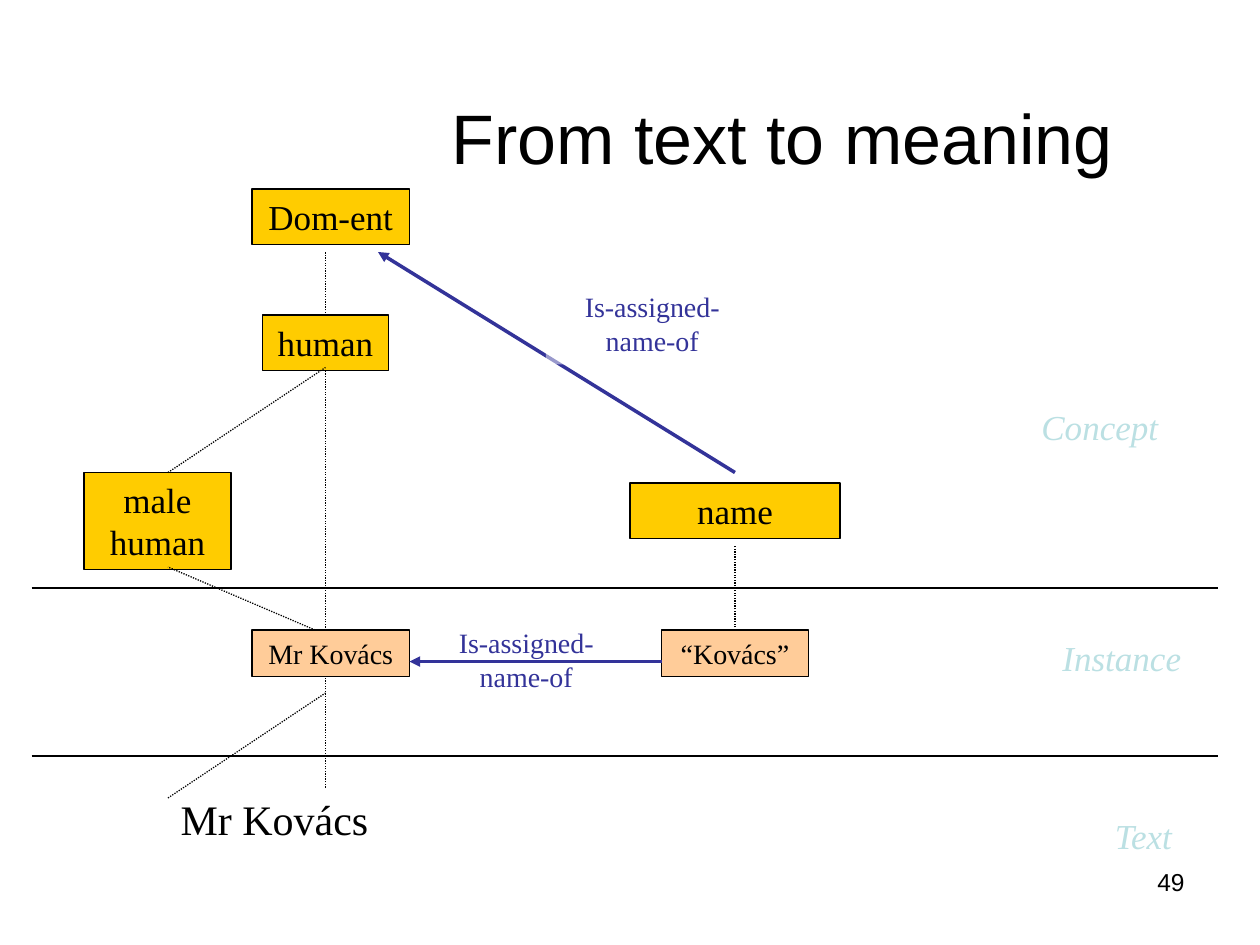
from dataclasses import dataclass
from typing import Optional

from lxml import etree
from pptx import Presentation
from pptx.dml.color import RGBColor
from pptx.enum.dml import MSO_LINE
from pptx.enum.shapes import MSO_CONNECTOR, MSO_SHAPE
from pptx.enum.text import MSO_ANCHOR, PP_ALIGN
from pptx.oxml.ns import qn
from pptx.util import Cm, Pt

LEFT, CENTER, RIGHT = PP_ALIGN.LEFT, PP_ALIGN.CENTER, PP_ALIGN.RIGHT
TOP, MIDDLE = MSO_ANCHOR.TOP, MSO_ANCHOR.MIDDLE
DOT, STRAIGHT, RECT = MSO_LINE.ROUND_DOT, MSO_CONNECTOR.STRAIGHT, MSO_SHAPE.RECTANGLE
BLACK = RGBColor(0x00, 0x00, 0x00)
WHITE = RGBColor(0xFF, 0xFF, 0xFF)
GOLD = RGBColor(0xFF, 0xCC, 0x00)
PEACH = RGBColor(0xFF, 0xCC, 0x99)
INDIGO = RGBColor(0x33, 0x33, 0x99)
AQUA = RGBColor(0xBB, 0xE0, 0xE3)
SERIF, SANS = "Times New Roman", "Arial"
GRID = 2.54 / 12


@dataclass
class Box:
    text: str
    left: float
    top: float
    width: float
    height: float
    size: int = 20
    color: RGBColor = BLACK
    align: PP_ALIGN = CENTER
    fill: Optional[RGBColor] = None
    edge: bool = False
    alpha: int = 100
    italic: bool = False
    face: str = SERIF
    inset: float = 0.25


@dataclass
class Link:
    x1: float
    y1: float
    x2: float
    y2: float
    dotted: bool = False
    arrow: bool = False


def grid(*units: float) -> list[Cm]:
    return [Cm(unit * GRID) for unit in units]


def apply(target: object, values: dict) -> None:
    for name, value in values.items():
        setattr(target, name, value)


def write(shape, box: Box, anchor: MSO_ANCHOR) -> None:
    frame = shape.text_frame
    apply(frame, {
        "word_wrap": True, "vertical_anchor": anchor, "text": box.text,
        "margin_left": Cm(box.inset), "margin_right": Cm(0.25),
        "margin_top": Cm(0.13), "margin_bottom": Cm(0.13),
    })
    para = frame.paragraphs[0]
    para.alignment = box.align
    font = para.runs[0].font
    apply(font, {"name": box.face, "size": Pt(box.size), "italic": box.italic})
    font.color.rgb = box.color


def draw_box(slide, box: Box) -> None:
    place = grid(box.left, box.top, box.width, box.height)
    if box.fill is None:
        shape = slide.shapes.add_textbox(*place)
    else:
        shape = slide.shapes.add_shape(RECT, *place)
        shape.shadow.inherit = False
        shape.fill.solid()
        shape.fill.fore_color.rgb = box.fill
        if box.alpha < 100:
            tint = shape.element.spPr.find(".//" + qn("a:srgbClr"))
            etree.SubElement(tint, qn("a:alpha"), val=str(box.alpha * 1000))
        if box.edge:
            shape.line.color.rgb = BLACK
            shape.line.width = Pt(0.75)
        else:
            shape.line.fill.background()
    write(shape, box, TOP)


def draw_link(slide, link: Link) -> None:
    ends = grid(link.x1, link.y1, link.x2, link.y2)
    shape = slide.shapes.add_connector(STRAIGHT, *ends)
    line = shape.line
    line.color.rgb = INDIGO if link.arrow else BLACK
    line.width = Pt(2 if link.arrow else 0.75)
    if link.dotted:
        line.dash_style = DOT
    props = shape.element.spPr
    if link.arrow:
        etree.SubElement(props.find(qn("a:ln")), qn("a:tailEnd"), type="triangle")
    etree.SubElement(props, qn("a:effectLst"))


def node(text: str, left: float, top: float, width: float, height: float = 5.3) -> Box:
    return Box(text, left, top, width, height, fill=GOLD, edge=True)


def case(text: str, left: float, width: float) -> Box:
    return Box(text, left, 60, width, 4.45, size=16, fill=PEACH, edge=True)


def role(left: float, top: float, fill: Optional[RGBColor] = None) -> Box:
    return Box("Is-assigned-name-of", left, top, 20.25, 7.7, size=16,
               color=INDIGO, fill=fill, alpha=50)


def layer(text: str, left: float, top: float, width: float) -> Box:
    return Box(text, left, top, width, 5.3, color=AQUA, align=LEFT, italic=True)


TITLE = Box("From text to meaning", 31, 8, 87, 10, size=40, face=SANS)
ITEMS = [
    Box("Mr Kovács", 12, 75, 31, 6, size=24, align=LEFT, inset=1.1),
    Link(31, 75, 31, 24, dotted=True),
    node("male human", 8, 45, 14, 9.25),
    node("human", 25, 30, 12),
    node("Dom-ent", 24, 18, 15),
    case("“Kovács”", 63, 14),
    node("name", 60, 46, 20),
    case("Mr Kovács", 24, 15),
    Link(3, 56, 116, 56),
    Link(3, 72, 116, 72),
    Link(16, 76, 31, 66, dotted=True),
    Link(16, 45, 31, 35, dotted=True),
    Link(30, 60, 16, 54, dotted=True),
    Link(70, 45, 36, 24, arrow=True),
    role(52, 27, WHITE),
    Link(63, 63, 39, 63, arrow=True),
    Link(70, 60, 70, 52, dotted=True),
    role(40, 59),
    layer("Concept", 98, 38, 16),
    layer("Instance", 100, 60, 18),
    layer("Text", 105, 77, 12),
    Box("49", 86, 82, 28, 6.25, size=14, align=RIGHT, face=SANS),
]


def main() -> None:
    deck = Presentation()
    apply(deck, {"slide_width": Cm(25.4), "slide_height": Cm(19.05)})
    slide = deck.slides.add_slide(deck.slide_layouts[5])
    for item in ITEMS:
        if isinstance(item, Box):
            draw_box(slide, item)
        else:
            draw_link(slide, item)
    title = slide.shapes.title
    place = grid(TITLE.left, TITLE.top, TITLE.width, TITLE.height)
    apply(title, dict(zip(("left", "top", "width", "height"), place)))
    write(title, TITLE, MIDDLE)
    deck.save("out.pptx")


if __name__ == "__main__":
    main()
